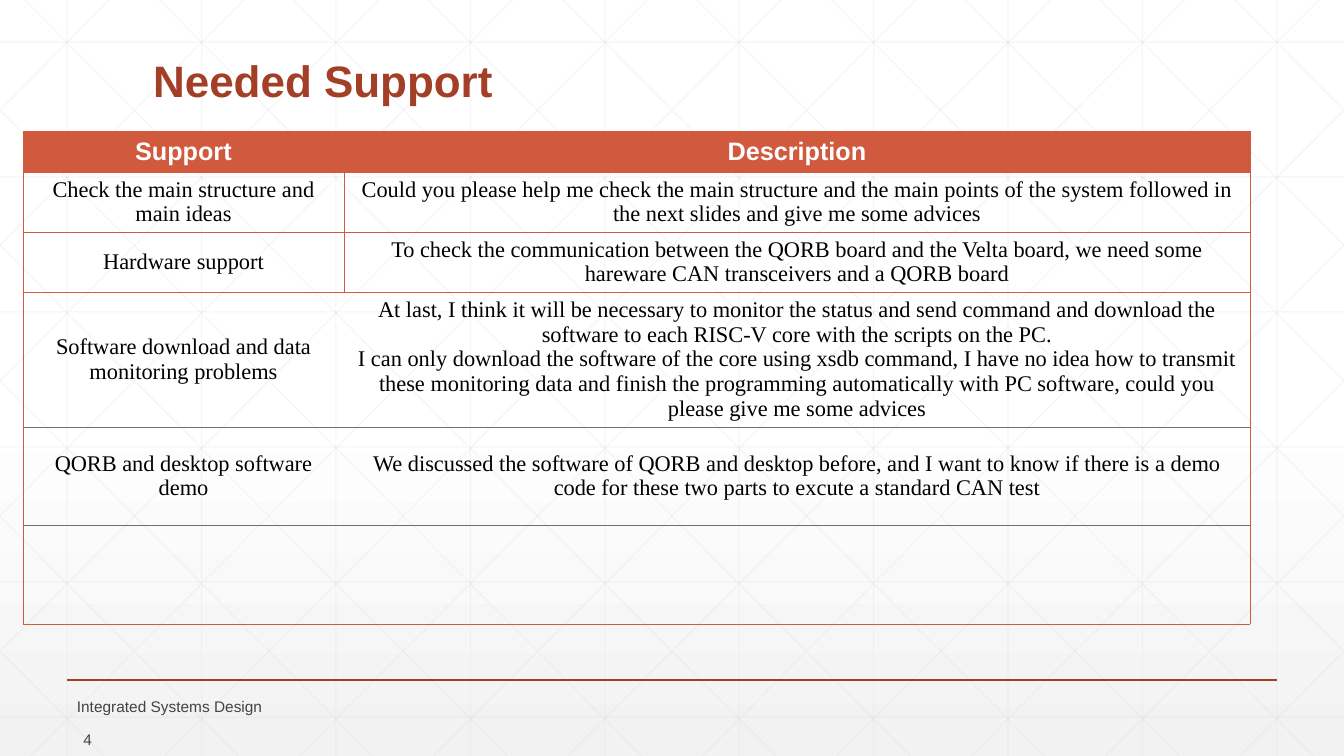
from lxml import etree
from pptx import Presentation, util as u
from pptx.dml.color import RGBColor
from pptx.enum import shapes, text
from pptx.oxml.ns import qn

EMU_PER_PX = 914400 / 100.8
WIDTH, HEIGHT = 1344, 756
RUST, ORANGE, GRAY = "A43F27", "D15A3E", "6F6F6F"


def px(*lengths):
    return [u.Emu(round(n * EMU_PER_PX)) for n in lengths]


def rgb(value):
    return RGBColor.from_string(value)


prs = Presentation()
prs.slide_width, prs.slide_height = px(WIDTH, HEIGHT)
slide = prs.slides.add_slide(prs.slide_layouts[5])

backdrop = slide.background.fill
backdrop.gradient()
backdrop.gradient_angle = 270
for stop, position, color in zip(backdrop.gradient_stops, (0.53, 1), ("FFFFFF", "F2F2F2")):
    stop.position = position
    stop.color.rgb = rgb(color)

# Background grid: verticals, horizontals, and diagonals mirrored left to right
grid_step, diagonal_run = 134.4, 751
slope = HEIGHT / diagonal_run
rules = []
for i in range(10):
    x = 67.2 + i * grid_step
    rules.append((x, 0, x, HEIGHT, "D9D9D9", 0.75))
for i in range(6):
    y = 42 + i * 135
    rules.append((0, y, WIDTH, y, "D9D9D9", 0.75))
for i in range(-5, 10):
    top_x = 25 + i * grid_step
    x1, x2 = max(top_x, 0), min(top_x + diagonal_run, WIDTH)
    y1, y2 = (x1 - top_x) * slope, (x2 - top_x) * slope
    rules.append((x1, y1, x2, y2, "D9D9D9", 0.75))
    rules.append((WIDTH - x1, y1, WIDTH - x2, y2, "D9D9D9", 0.75))
rules.append((67, 680, 1277, 680, RUST, 1))

for *ends, color, weight in rules:
    rule = slide.shapes.add_connector(shapes.MSO_CONNECTOR.STRAIGHT, *px(*ends))
    rule.line.color.rgb = rgb(color)
    rule.line.width = u.Pt(weight)
    properties = rule._element.spPr
    etree.SubElement(properties, qn("a:effectLst"))
    if color != RUST:
        tint = properties.find(".//" + qn("a:srgbClr"))
        etree.SubElement(tint, qn("a:alpha"), val="25000")

# Title, brought in front of the grid
title = slide.shapes.title
slide.shapes._spTree.append(title._element)
footer = slide.shapes.add_textbox(0, 0, 0, 0)
page_number = slide.shapes.add_textbox(0, 0, 0, 0)
LEFT, RIGHT = text.PP_ALIGN.LEFT, text.PP_ALIGN.RIGHT
captions = [
    (title, "Needed Support", (143, 55, 1058, 57), 31.4, RUST, True, LEFT, 0.9),
    (footer, "Integrated Systems Design", (67, 694, 675, 24), 11, "424342", False, LEFT, 1),
    (page_number, "4", (1, 727, 101, 24), 11, "424342", False, RIGHT, 1),
]
for box, wording, place, size, color, bold, align, spacing in captions:
    box.left, box.top, box.width, box.height = px(*place)
    frame = box.text_frame
    frame.text = wording
    frame.word_wrap = True
    frame.auto_size = text.MSO_AUTO_SIZE.NONE
    frame.vertical_anchor = text.MSO_ANCHOR.MIDDLE
    paragraph = frame.paragraphs[0]
    paragraph.alignment, paragraph.line_spacing = align, spacing
    font = paragraph.runs[0].font
    font.name, font.size, font.bold = "Arial", u.Pt(size), bold
    font.color.rgb = rgb(color)

# Support table
support_rows = [
    ("Support", "Description"),
    ("Check the main structure and main ideas",
     "Could you please help me check the main structure and the main points of the system "
     "followed in the next slides and give me some advices"),
    ("Hardware support",
     "To check the communication between the QORB board and the Velta board, we need some "
     "hareware CAN transceivers and a QORB board"),
    ("Software download and data monitoring problems",
     "At last, I think it will be necessary to monitor the status and send command and "
     "download the software to each RISC-V core with the scripts on the PC.\n"
     "I can only download the software of the core using xsdb command, I have no idea how to "
     "transmit these monitoring data and finish the programming automatically with PC "
     "software, could you please give me some advices"),
    ("QORB and desktop software demo",
     "We discussed the software of QORB and desktop before, and I want to know if there is a "
     "demo code for these two parts to excute a standard CAN test"),
    ("", ""),
]
column_widths = px(321, 906)
row_heights = px(41, 60, 60, 135, 98, 99)
table = slide.shapes.add_table(6, 2, *px(23, 131), sum(column_widths), sum(row_heights)).table
for column, width in zip(table.columns, column_widths):
    column.width = width
for row, height in zip(table.rows, row_heights):
    row.height = height

for r, wordings in enumerate(support_rows):
    header = r == 0
    divider = ORANGE if r in (1, 2) else None
    top = GRAY if r in (4, 5) else ORANGE
    bottom = GRAY if r in (3, 4) else ORANGE
    for c, wording in enumerate(wordings):
        cell = table.cell(r, c)
        cell.text = wording
        cell.vertical_anchor = text.MSO_ANCHOR.MIDDLE
        cell.margin_left = cell.margin_right = u.Inches(0.13)
        cell.margin_top = cell.margin_bottom = u.Inches(0.05)
        for paragraph in cell.text_frame.paragraphs:
            paragraph.alignment = text.PP_ALIGN.CENTER
            for run in paragraph.runs:
                run.font.name = "Arial" if header else "Times New Roman"
                run.font.size = u.Pt(18 if header else 16)
                run.font.bold = header
                run.font.color.rgb = rgb("FFFFFF" if header else "000000")

        borders = {"a:lnL": divider if c else ORANGE, "a:lnR": ORANGE if c else divider,
                   "a:lnT": top, "a:lnB": bottom}
        cell_format = cell._tc.get_or_add_tcPr()
        for side, color in borders.items():
            border = etree.SubElement(cell_format, qn(side), w=str(u.Pt(0.5)))
            if color:
                paint = etree.SubElement(border, qn("a:solidFill"))
                etree.SubElement(paint, qn("a:srgbClr"), val=color)
            else:
                etree.SubElement(border, qn("a:noFill"))
        if header:
            cell.fill.solid()
            cell.fill.fore_color.rgb = rgb(ORANGE)
        else:
            cell.fill.background()

prs.save("out.pptx")
